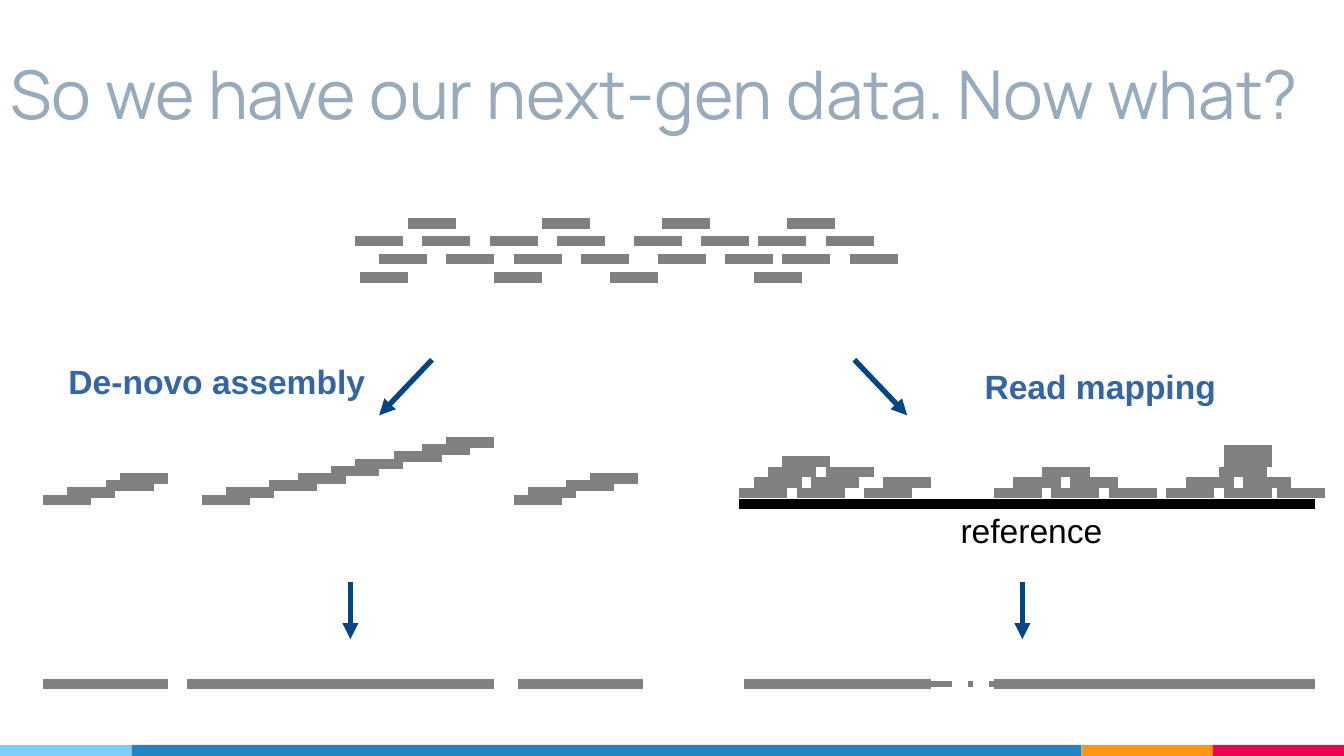
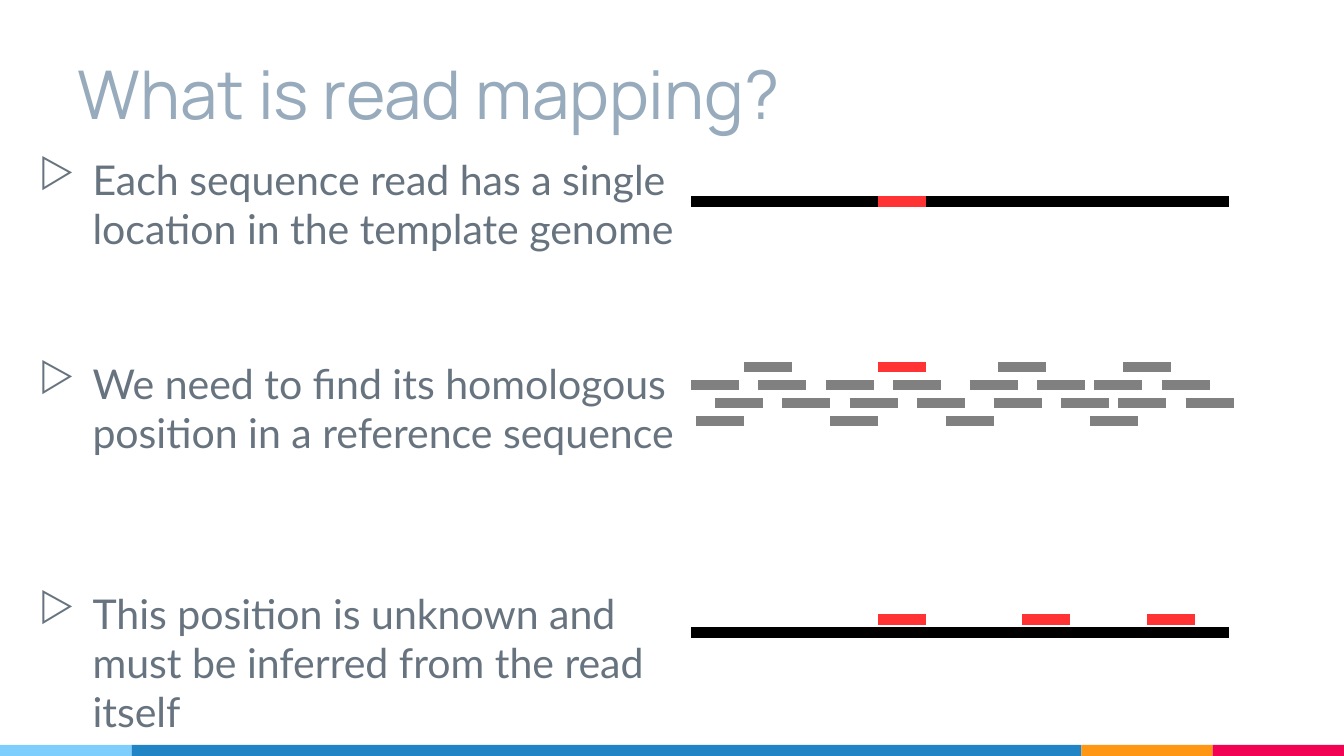
from lxml import etree
from pptx import Presentation
from pptx.dml.color import RGBColor
from pptx.enum.dml import MSO_LINE
from pptx.enum.shapes import MSO_CONNECTOR, MSO_SHAPE
from pptx.enum.text import MSO_ANCHOR, MSO_AUTO_SIZE, PP_ALIGN
from pptx.oxml.ns import qn
from pptx.util import Cm, Pt

LINE = MSO_CONNECTOR.STRAIGHT
RECT = MSO_SHAPE.RECTANGLE
DASH = MSO_LINE.DASH_DOT
MID = MSO_ANCHOR.MIDDLE
TOP = MSO_ANCHOR.TOP
FIXED = MSO_AUTO_SIZE.NONE
LEFT = PP_ALIGN.LEFT
MIDDLE = PP_ALIGN.CENTER

GREY = RGBColor(0x80, 0x80, 0x80)
BLACK = RGBColor(0, 0, 0)
RED = RGBColor(0xFF, 0x33, 0x33)
NAVY = RGBColor(0x00, 0x45, 0x86)
BLUE = RGBColor(0x34, 0x65, 0xA4)
STEEL = RGBColor(0x97, 0xAB, 0xBC)
SLATE = RGBColor(0x67, 0x74, 0x80)
SKY = RGBColor(0x7E, 0xCE, 0xFD)
OCEAN = RGBColor(0x21, 0x85, 0xC5)
AMBER = RGBColor(0xFF, 0x97, 0x15)
PINK = RGBColor(0xF2, 0x02, 0x53)

WIDE = 25.4
STEP = WIDE / 280
READ = 10
THICK = 5.67
THIN = 2.83

# Columns are counted in steps, heights in centimetres.
PILE = [
    [85, 113, 138, 164],
    [74, 88, 102, 116, 132, 146, 158, 172],
    [79, 93, 107, 121, 137, 151, 163, 177],
    [75, 103, 127, 157],
]


def draw(slide, x1, y1, x2, y2, color=GREY, width=THICK, dash=None, arrow=False):
    line = slide.shapes.add_connector(
        LINE, Cm(x1 * STEP), Cm(y1), Cm(x2 * STEP), Cm(y2))
    line.line.color.rgb = color
    line.line.width = Pt(width)
    if dash:
        line.line.dash_style = dash
    props = line.element.spPr
    if arrow:
        etree.SubElement(props.find(qn("a:ln")), qn("a:tailEnd"), type="triangle")
    etree.SubElement(props, qn("a:effectLst"))


def write(frame, text, size, font, color, bold=False, align=LEFT, anchor=TOP):
    frame.word_wrap = True
    frame.auto_size = FIXED
    frame.vertical_anchor = anchor
    frame.margin_left = frame.margin_right = Cm(0.2)
    frame.margin_top = frame.margin_bottom = Cm(0.1)
    for i, words in enumerate(text):
        para = frame.add_paragraph() if i else frame.paragraphs[0]
        para.alignment = align
        run = para.add_run()
        run.text = words
        run.font.size = Pt(size)
        run.font.name = font
        run.font.bold = bold
        run.font.color.rgb = color


deck = Presentation()
deck.slide_width = Cm(WIDE)
deck.slide_height = Cm(14.29)
plain = deck.slide_layouts[5]

slides = []
for text, left in [
    ("So we have our next-gen data. Now what?", 0),
    ("What is read mapping?", 1.27),
]:
    slide = deck.slides.add_slide(plain)
    title = slide.shapes.title
    title.left, title.top = Cm(left), Cm(0.56)
    title.width, title.height = Cm(WIDE - 2 * left), Cm(2.39)
    write(title.text_frame, [text], 36, "Manrope", STEEL, anchor=MID)
    slides.append(slide)
plan, study = slides

master = deck.slide_master.shapes.element
left = 0
for width, color in [(2.49, SKY), (17.95, OCEAN), (2.48, AMBER), (2.48, PINK)]:
    band = plan.shapes.add_shape(RECT, Cm(left), Cm(14.08), Cm(width), Cm(0.21))
    band.shadow.inherit = False
    band.fill.solid()
    band.fill.fore_color.rgb = color
    band.line.fill.background()
    master.append(band.element)
    left += width

for slide, shift, top, picked in [(plan, 0, 4.22, None), (study, 70, 6.94, 113)]:
    for i, row in enumerate(PILE):
        y = top + 0.34 * i
        for x in row:
            color = RED if x == picked else GREY
            draw(slide, x + shift, y, x + shift + READ, y, color)

for contig in [
    [9, 14, 22, 25],
    [42, 47, 56, 62, 69, 74, 82, 88, 93],
    [107, 110, 118, 123],
]:
    for i, x in enumerate(contig):
        y = 9.45 - 1.5 * STEP * i
        draw(plan, x, y, x + READ, y)

draw(plan, 154, 9.53, 274, 9.53, BLACK)
for i, row in enumerate([
    [154, 166, 180, 207, 219, 231, 243, 255, 266],
    [157, 169, 184, 211, 223, 247, 259],
    [160, 172, 217, 254],
    [163, 217 + 38],
    [255],
]):
    y = 9.32 - 0.2 * i
    for x in row:
        draw(plan, x, y, x + READ, y)

for x1, x2 in [(9, 35), (39, 103), (108, 134), (155, 194), (207, 274)]:
    draw(plan, x1, 12.93, x2, 12.93)
draw(plan, 194, 12.93, 207, 12.93, width=THIN, dash=DASH)

for x1, y1, x2, y2 in [
    (90, 6.8, 79, 7.85),
    (178, 6.8, 189, 7.85),
    (73, 11, 73, 12.08),
    (213, 11, 213, 12.08),
]:
    draw(plan, x1, y1, x2, y2, NAVY, THIN, arrow=True)

for text, left, top, width, height, color, bold in [
    ("reference", 17.78, 9.53, 3.43, 0.76, BLACK, False),
    ("De-novo assembly", 0.76, 6.73, 6.68, 0.76, BLUE, True),
    ("Read mapping", 18.14, 6.81, 5.31, 0.89, BLUE, True),
]:
    box = plan.shapes.add_textbox(Cm(left), Cm(top), Cm(width), Cm(height))
    write(box.text_frame, [text], 18, "Arial", color, bold, MIDDLE)

for y in [3.81, 11.96]:
    draw(study, 144, y, 256, y, BLACK)
for x, y in [(183, 3.81), (183, 11.71), (213, 11.71), (239, 11.71)]:
    draw(study, x, y, x + READ, y, RED)

body = study.shapes.add_textbox(Cm(0.28), Cm(2.95), Cm(12.88), Cm(10.92))
frame = body.text_frame
write(frame, [
    "Each sequence read has a single location in the template genome",
    "We need to find its homologous position in a reference sequence",
    "This position is unknown and must be inferred from the read itself",
], 22, "Lato", SLATE, anchor=MID)
frame.margin_top = frame.margin_bottom = 0
for para, gap in zip(frame.paragraphs, [0, 56.5, 70.5]):
    para.space_before = Pt(gap)
    props = para._p.get_or_add_pPr()
    props.set("marL", str(Cm(1.27)))
    props.set("indent", str(-Cm(1.02)))
    tint = etree.SubElement(props, qn("a:buClr"))
    etree.SubElement(tint, qn("a:srgbClr"), val=str(SLATE))
    etree.SubElement(props, qn("a:buChar"), char="▷")

deck.save("out.pptx")
